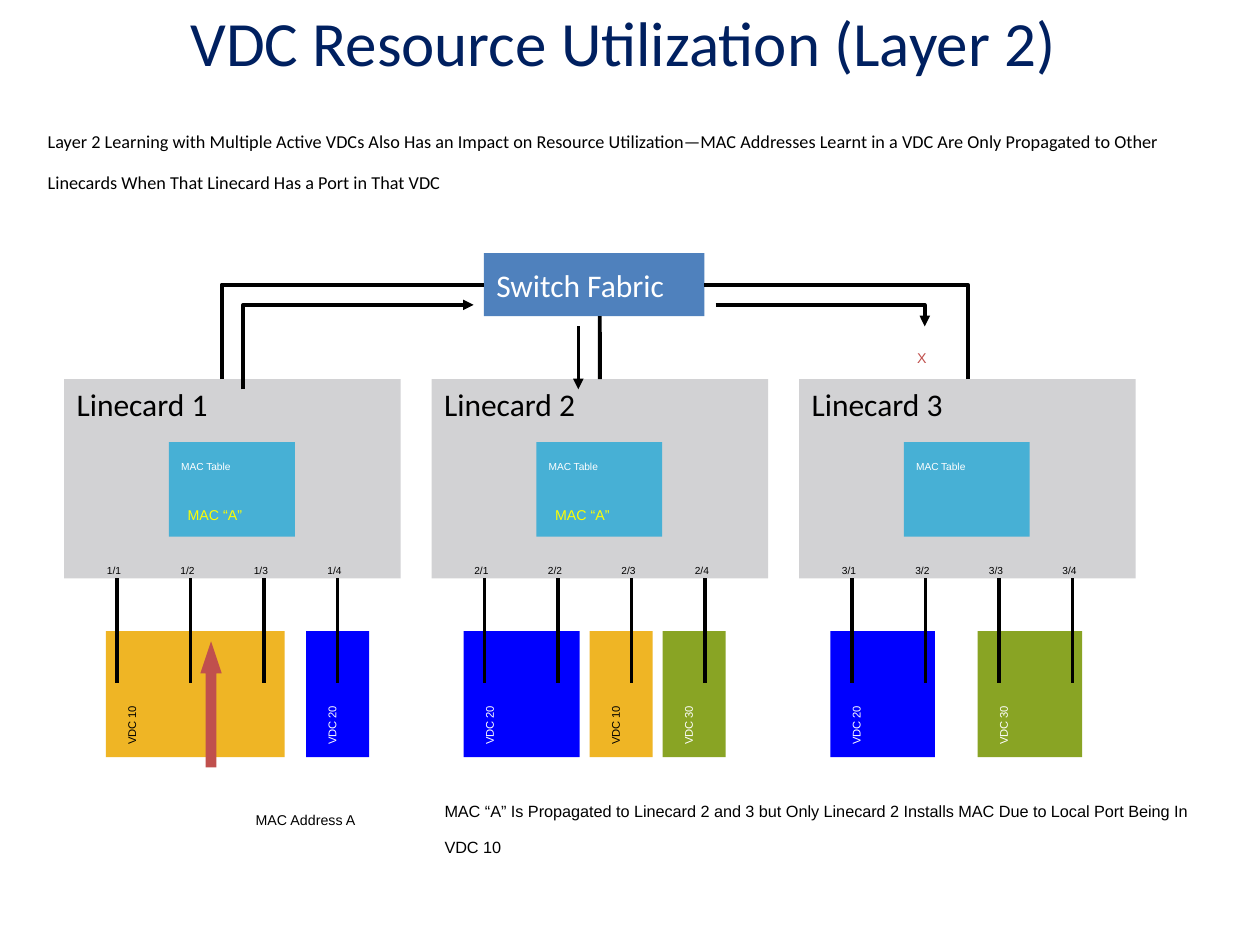
from lxml import etree
from pptx import Presentation
from pptx.dml.color import RGBColor
from pptx.enum.shapes import MSO_CONNECTOR, MSO_SHAPE
from pptx.enum.text import MSO_ANCHOR, PP_ALIGN
from pptx.oxml.ns import qn
from pptx.util import Inches, Pt

RECTANGLE = MSO_SHAPE.RECTANGLE
UP_ARROW = MSO_SHAPE.UP_ARROW
STRAIGHT = MSO_CONNECTOR.STRAIGHT
TOP, MIDDLE = MSO_ANCHOR.TOP, MSO_ANCHOR.MIDDLE
LEFT, CENTER = PP_ALIGN.LEFT, PP_ALIGN.CENTER

BLACK, WHITE, YELLOW, RED = "000000", "FFFFFF", "FFFF00", "C0504D"
VDC_COLORS = {
    "VDC 10": ("EFB525", BLACK),
    "VDC 20": ("0000FF", WHITE),
    "VDC 30": ("89A424", WHITE),
}
VDCS = [
    (0.84, 1.42, "VDC 10"), (2.43, 0.5, "VDC 20"),
    (3.68, 0.92, "VDC 20"), (4.68, 0.5, "VDC 10"), (5.26, 0.5, "VDC 30"),
    (6.59, 0.83, "VDC 20"), (7.76, 0.83, "VDC 30"),
]
CARD_PITCH = 35 / 12
PORT_PITCH = 7 / 12
SUBTITLE = (
    "Layer 2 Learning with Multiple Active VDCs Also Has an Impact on Resource "
    "Utilization—MAC Addresses Learnt in a VDC Are Only Propagated to Other "
    "Linecards When That Linecard Has a Port in That VDC"
)
CONCLUSION = (
    "MAC “A” Is Propagated to Linecard 2 and 3 but Only Linecard 2 Installs "
    "MAC Due to Local Port Being In VDC 10"
)


def rgb(value):
    """Turn a hex string into a colour."""
    return RGBColor.from_string(value)


def set_attributes(target, values):
    """Set every attribute named in a dict."""
    for name, value in values.items():
        setattr(target, name, value)


def write_text(shape, text, size, color, font="Arial", anchor=TOP, lowered=False, **paragraph_format):
    """Write one formatted paragraph into a shape, optionally as subscript."""
    frame = shape.text_frame
    set_attributes(frame, {"word_wrap": True, "vertical_anchor": anchor})
    paragraph = frame.paragraphs[0]
    set_attributes(paragraph, {"alignment": LEFT, **paragraph_format})
    run = paragraph.add_run()
    run.text = text
    set_attributes(run.font, {"name": font, "size": Pt(size)})
    run.font.color.rgb = rgb(color)
    if lowered:
        run.font._element.set("baseline", "-25000")


def add_label(slide, box, text, size, color, rotation=0, lowered=True, **text_format):
    """Add a text box at left, top, width, height."""
    shape = slide.shapes.add_textbox(*map(Inches, box))
    shape.rotation = rotation
    write_text(shape, text, size, color, lowered=lowered, **text_format)


def add_block(slide, box, fill, kind=RECTANGLE):
    """Add a plain filled shape."""
    shape = slide.shapes.add_shape(kind, *map(Inches, box))
    shape.shadow.inherit = False
    shape.fill.solid()
    shape.fill.fore_color.rgb = rgb(fill)
    shape.line.fill.background()
    return shape


def style_line(shape, width, arrow):
    """Draw a black line, with an arrowhead at its end if asked."""
    shape.line.color.rgb = rgb(BLACK)
    shape.line.width = Pt(width)
    if arrow:
        tail = etree.SubElement(shape.line._get_or_add_ln(), qn("a:tailEnd"))
        tail.set("type", "triangle")


def add_vertical_line(slide, x, top, bottom, width=2, arrow=False):
    """Add a straight vertical connector."""
    connector = slide.shapes.add_connector(
        STRAIGHT, Inches(x), Inches(top), Inches(x), Inches(bottom))
    style_line(connector, width, arrow)
    etree.SubElement(connector._element.spPr, qn("a:effectLst"))
    return connector


def add_bent_line(slide, points, width, arrow=False):
    """Add an open line through the given points."""
    start, *others = [(Inches(x), Inches(y)) for x, y in points]
    builder = slide.shapes.build_freeform(*start)
    builder.add_line_segments(others, close=False)
    shape = builder.convert_to_shape()
    shape.fill.background()
    style_line(shape, width, arrow)
    shape.shadow.inherit = False


def add_linecard(slide, number):
    """Add a linecard with its MAC table and return its block."""
    offset = (number - 1) * CARD_PITCH
    card = add_block(slide, (0.51 + offset, 3.01, 2.67, 1.58), "D2D2D4")
    write_text(card, f"Linecard {number}", 18, BLACK, font="Calibri")
    add_block(slide, (1.34 + offset, 3.51, 1, 0.75), "47B0D5")
    add_label(slide, (1.34 + offset, 3.51, 1, 0.27), "MAC Table", 10, WHITE)
    if number < 3:
        add_label(slide, (1.39 + offset, 3.84, 0.95, 0.33), "MAC “A”", 14, YELLOW)
    return card


def add_vdc(slide, left, width, name):
    """Add a VDC block with its name turned upright."""
    fill, color = VDC_COLORS[name]
    add_block(slide, (left, 5.01, width, 1), fill)
    add_label(slide, (left - 0.1, 5.44, 0.67, 0.47), name, 11, color, rotation=270)


def add_ports(slide, number):
    """Add the four port lines and labels of a linecard."""
    for port in range(4):
        x = 0.93 + (number - 1) * CARD_PITCH + port * PORT_PITCH
        add_vertical_line(slide, x, 4.59, 5.42)
        add_label(slide, (x - 0.18, 4.34, 0.39, 0.27), f"{number}/{port + 1}", 10, BLACK)


def add_fabric(slide, middle_card):
    """Add the switch fabric, its links and the flow arrows."""
    fabric = add_block(slide, (3.84, 2.01, 1.75, 0.5), "4F81BD")
    write_text(fabric, "Switch Fabric", 18, WHITE, font="Calibri", anchor=MIDDLE)
    add_bent_line(slide, [(1.76, 3.01), (1.76, 2.26), (3.84, 2.26)], 2.25)
    add_bent_line(slide, [(7.68, 3.01), (7.68, 2.26), (5.59, 2.26)], 2.25)
    add_vertical_line(slide, 4.76, 2.51, 3.01, 2.25).end_connect(middle_card, 0)
    add_bent_line(slide, [(1.93, 3.09), (1.93, 2.42), (3.76, 2.42)], 2, arrow=True)
    add_bent_line(slide, [(5.68, 2.42), (7.34, 2.42), (7.34, 2.59)], 2, arrow=True)
    add_vertical_line(slide, 4.59, 2.59, 3.09, arrow=True)
    add_label(slide, (7.18, 2.59, 0.33, 0.33), "X", 14, RED)


def main():
    """Build the slide and save it."""
    presentation = Presentation()
    set_attributes(presentation, {"slide_width": Inches(10), "slide_height": Inches(7.5)})
    slide = presentation.slides.add_slide(presentation.slide_layouts[6])
    add_label(slide, (0.25, -0.03, 9.39, 0.71), "VDC Resource Utilization (Layer 2)", 36,
              "002060", lowered=False, font="Calibri", anchor=MIDDLE, alignment=CENTER)
    cards = [add_linecard(slide, number) for number in (1, 2, 3)]
    for vdc in VDCS:
        add_vdc(slide, *vdc)
    for number in (1, 2, 3):
        add_ports(slide, number)
    add_fabric(slide, cards[1])
    source = add_block(slide, (1.59, 5.09, 0.17, 1), RED, UP_ARROW)
    source.adjustments[0], source.adjustments[1] = 0.5, 1.5
    add_label(slide, (1.93, 6.26, 1.58, 0.33), "MAC Address A", 14, BLACK)
    spacing = {"line_spacing": 0.95, "space_before": Pt(2)}
    add_label(slide, (3.43, 6.16, 6.17, 0.61), CONCLUSION, 16, BLACK, **spacing)
    add_label(slide, (0.28, 0.82, 9.45, 0.96), SUBTITLE, 18, BLACK, font="Calibri", **spacing)
    presentation.save("out.pptx")


if __name__ == "__main__":
    main()
